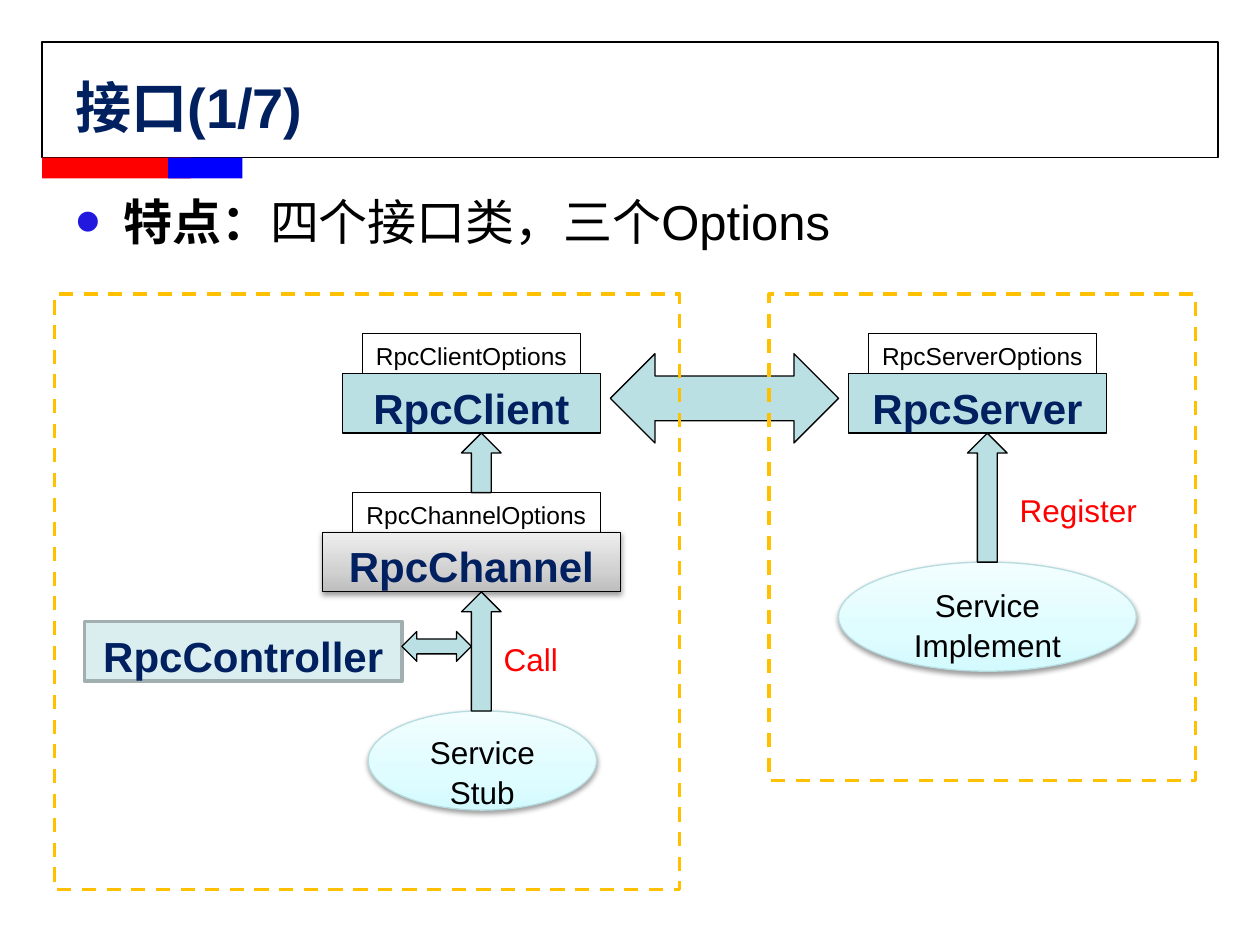
from dataclasses import dataclass

from lxml.etree import SubElement
from pptx import Presentation
from pptx.dml.color import RGBColor
from pptx.enum.dml import MSO_LINE
from pptx.enum.shapes import MSO_SHAPE as Kind
from pptx.enum.text import MSO_ANCHOR, PP_ALIGN
from pptx.oxml.ns import qn
from pptx.util import Inches, Pt


@dataclass(frozen=True)
class Theme:
    font: str = "Arial"
    navy: str = "002060"
    black: str = "000000"
    red: str = "FF0000"
    blue: str = "0000FF"
    bullet: str = "2318DE"
    teal: str = "BBE0E3"
    amber: str = "FFC000"
    title: int = 32
    body: int = 28
    component: int = 24
    label: int = 18
    option: int = 14
    thin: float = 0.75
    thick: float = 2
    leading: float = 1.05


THEME = Theme()
ICE = ("D3FBFF", "DFFCFF", "F2FEFF")
SILVER = ("BDBDBD", "D1D1D1", "EEEEEE")


@dataclass(frozen=True)
class Grid:
    left: float = 0.04
    top: float = 0.13
    cell: float = 0.1575

    def place(self, col: float, row: float, cols: float, rows: float) -> tuple:
        corner = (self.left + col * self.cell, self.top + row * self.cell)
        size = (cols * self.cell, rows * self.cell)
        return tuple(Inches(value) for value in corner + size)


GRID = Grid()


@dataclass(frozen=True)
class Style:
    kind: Kind = Kind.RECTANGLE
    fill: str | tuple | None = None
    line: str | None = THEME.black
    weight: float = THEME.thin
    dashed: bool = False
    shadow: bool = False
    size: int = THEME.component
    color: str = THEME.navy
    bold: bool = True
    rotation: int = 0


COMPONENT = Style(fill=THEME.teal)
CHANNEL = Style(fill=SILVER, shadow=True)
CONTROLLER = Style(fill="DAEDEF", line="A1AFB1", weight=THEME.thick)
OPTIONS = Style(size=THEME.option, color=THEME.black, bold=False)
SERVICE = Style(Kind.OVAL, ICE, "B6DCDF", shadow=True, size=THEME.label,
                color=THEME.black, bold=False)
UPWARD = Style(Kind.RIGHT_ARROW, THEME.teal, rotation=270)
TWO_WAY = Style(Kind.LEFT_RIGHT_ARROW, THEME.teal)
FRAME = Style(line=THEME.amber, weight=THEME.thick, dashed=True)
RED_BAR = Style(fill=THEME.red, line=None)
BLUE_BAR = Style(fill=THEME.blue, line=None)


@dataclass(frozen=True)
class Node:
    style: Style
    col: float
    row: float
    cols: float
    rows: float
    text: str = ""


NODES = (
    Node(COMPONENT, 42.5, 18, 13, 3, "RpcServer"),
    Node(SERVICE, 18.3, 35, 11.5, 5, "Service\nStub"),
    Node(SERVICE, 42, 27.5, 15, 5.5, "Service\nImplement"),
    Node(CHANNEL, 16, 26, 15, 3, "RpcChannel"),
    Node(COMPONENT, 17, 18, 13, 3, "RpcClient"),
    Node(CONTROLLER, 4, 30.5, 16, 3, "RpcController"),
    Node(UPWARD, 21, 31, 6, 2),
    Node(UPWARD, 22.5, 21.5, 3, 2),
    Node(TWO_WAY, 20, 31, 3.5, 1.5),
    Node(UPWARD, 46.25, 23.25, 6.5, 2),
    Node(TWO_WAY, 30.5, 17, 11.5, 4.5),
    Node(OPTIONS, 18, 16, 11, 2, "RpcClientOptions"),
    Node(OPTIONS, 43.5, 16, 11.5, 2, "RpcServerOptions"),
    Node(OPTIONS, 17.5, 24, 12.5, 2, "RpcChannelOptions"),
)
LABELS = (("Call", 24.5, 31, 6), ("Register", 50.5, 32 - 8.5, 8))
FRAMES = (Node(FRAME, 2.5, 14, 31.5, 30), Node(FRAME, 38.5, 14, 21.5, 24.5))


def format_run(run, size: int, color: str, bold: bool) -> None:
    run.font.name = THEME.font
    run.font.size = Pt(size)
    run.font.bold = bold
    run.font.color.rgb = RGBColor.from_string(color)


def add_child(parent, tag: str, **attributes):
    return SubElement(parent, qn(tag), {key: str(value) for key, value in attributes.items()})


def fill_gradient(shape, colors: tuple) -> None:
    """Run three colours from the bottom edge to the top."""
    shape.fill.gradient()
    gradient = shape._element.spPr.find(qn("a:gradFill"))
    for child in list(gradient):
        gradient.remove(child)
    stops = add_child(gradient, "a:gsLst")
    for share, color in zip((0, 35, 100), colors):
        stop = add_child(stops, "a:gs", pos=share * 1000)
        add_child(stop, "a:srgbClr", val=color)
    add_child(gradient, "a:lin", ang=270 * 60000, scaled=0)


def add_shadow(shape) -> None:
    effects = shape._element.spPr.find(qn("a:effectLst"))
    shadow = add_child(effects, "a:outerShdw", blurRad=Pt(3.1), dist=Pt(1.6),
                       dir=90 * 60000, rotWithShape=0)
    color = add_child(shadow, "a:srgbClr", val=THEME.black)
    add_child(color, "a:alpha", val=38000)


def draw_shape(page, style: Style, place: tuple, text: str = "") -> None:
    shape = page.shapes.add_shape(style.kind, *place)
    shape.rotation = style.rotation
    shape.shadow.inherit = False
    if style.shadow:
        add_shadow(shape)
    if isinstance(style.fill, tuple):
        fill_gradient(shape, style.fill)
    elif style.fill:
        shape.fill.solid()
        shape.fill.fore_color.rgb = RGBColor.from_string(style.fill)
    else:
        shape.fill.background()
    if style.line:
        shape.line.color.rgb = RGBColor.from_string(style.line)
        shape.line.width = Pt(style.weight)
    else:
        shape.line.fill.background()
    if style.dashed:
        shape.line.dash_style = MSO_LINE.DASH
    if text:
        frame = shape.text_frame
        frame.text = text
        frame.word_wrap = False
        frame.vertical_anchor = MSO_ANCHOR.TOP
        for para in frame.paragraphs:
            para.alignment = PP_ALIGN.CENTER
            para.line_spacing = THEME.leading
            format_run(para.runs[0], style.size, style.color, style.bold)


def draw_text(page, place: tuple, spans: tuple, size: int, color: str,
              anchor: MSO_ANCHOR = MSO_ANCHOR.TOP):
    """Write one paragraph of (text, bold) spans and return it."""
    box = page.shapes.add_textbox(*place)
    box.text_frame.word_wrap = True
    box.text_frame.vertical_anchor = anchor
    para = box.text_frame.paragraphs[0]
    for text, bold in spans:
        span = para.add_run()
        span.text = text
        format_run(span, size, color, bold)
    return para


def add_bullet(para) -> None:
    properties = para._p.get_or_add_pPr()
    properties.set("marL", str(Inches(0.38)))
    properties.set("indent", str(Inches(-0.38)))
    add_child(add_child(properties, "a:buClr"), "a:srgbClr", val=THEME.bullet)
    add_child(properties, "a:buSzPct", val=150000)
    add_child(properties, "a:buFont", typeface=THEME.font)
    add_child(properties, "a:buChar", char="•")


def main() -> None:
    deck = Presentation()
    deck.slide_width, deck.slide_height = Inches(10), Inches(7.5)
    page = deck.slides.add_slide(deck.slide_layouts[6])

    def share(*parts: float) -> tuple:
        sides = (deck.slide_width, deck.slide_height) * 2
        return tuple(round(part * side) for part, side in zip(parts, sides))

    draw_shape(page, Style(), share(1 / 30, 2 / 45, 28 / 30, 11 / 90))
    draw_shape(page, RED_BAR, share(1 / 30, 1 / 6, 0.118, 1 / 45))
    draw_shape(page, BLUE_BAR, share(4 / 30, 1 / 6, 0.059, 1 / 45))
    draw_text(page, share(0.05, 0.07, 0.9, 0.084), (("接口(1/7)", True),),
              THEME.title, THEME.navy, MSO_ANCHOR.MIDDLE)
    feature = draw_text(page, share(0.05, 0.196, 0.9, 0.693),
                        (("特点：", True), ("四个接口类，三个Options", False)),
                        THEME.body, THEME.black)
    add_bullet(feature)

    for node in NODES:
        draw_shape(page, node.style, GRID.place(node.col, node.row, node.cols, node.rows), node.text)
    for text, col, row, cols in LABELS:
        para = draw_text(page, GRID.place(col, row, cols, 2.5), ((text, False),),
                         THEME.label, THEME.red)
        para.line_spacing = THEME.leading
    for node in FRAMES:
        draw_shape(page, node.style, GRID.place(node.col, node.row, node.cols, node.rows))
    deck.save("out.pptx")


if __name__ == "__main__":
    main()
